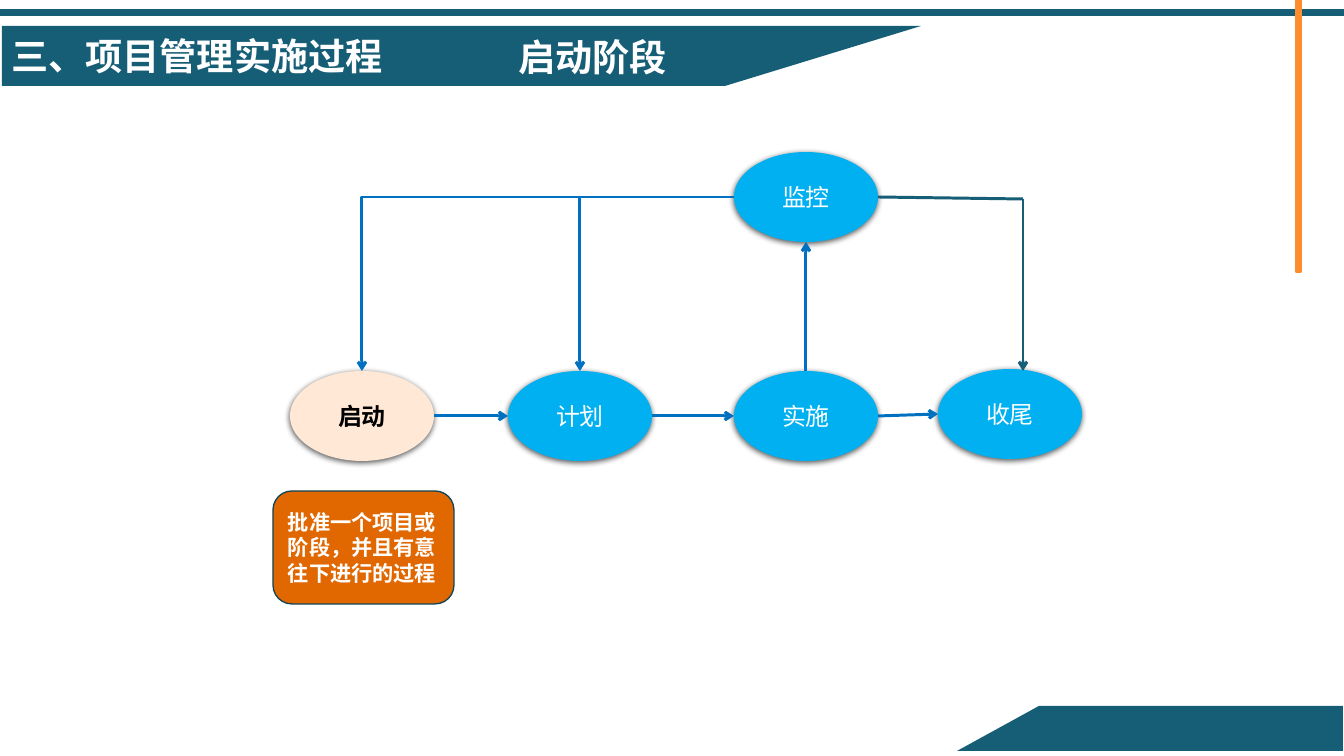
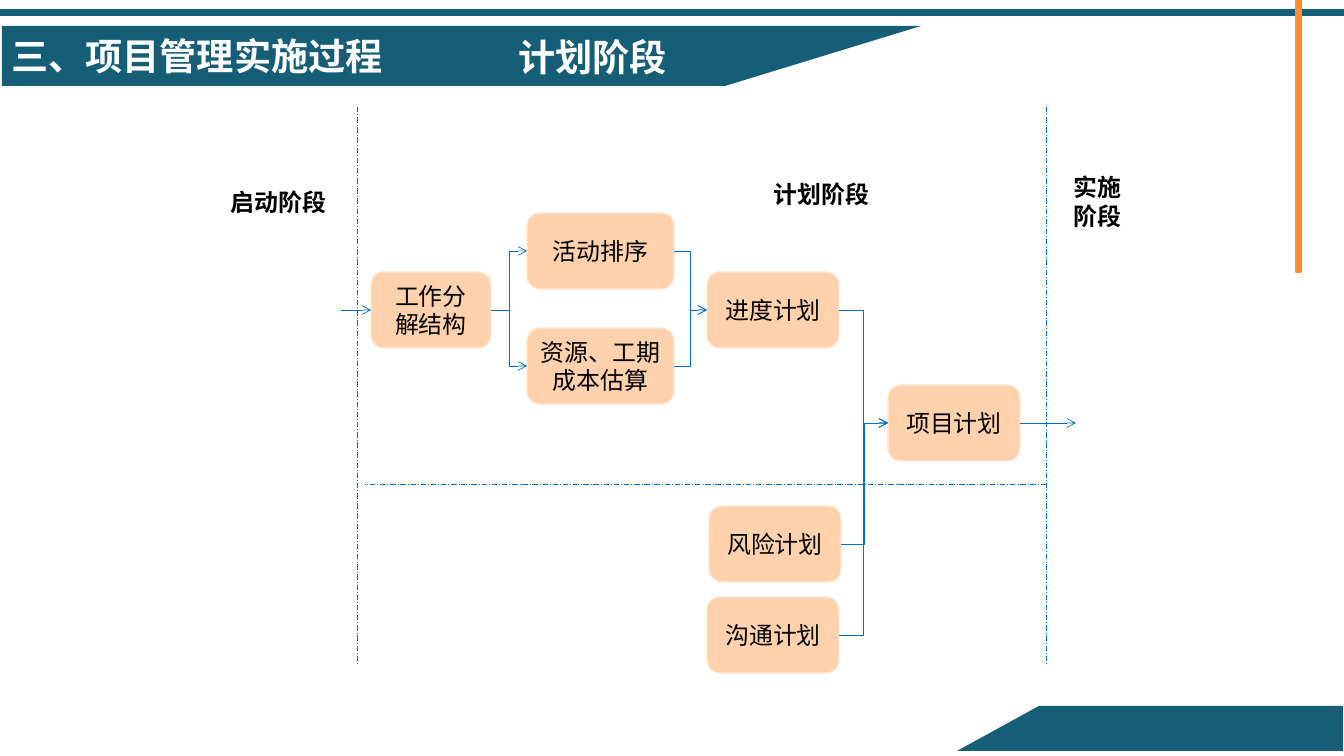
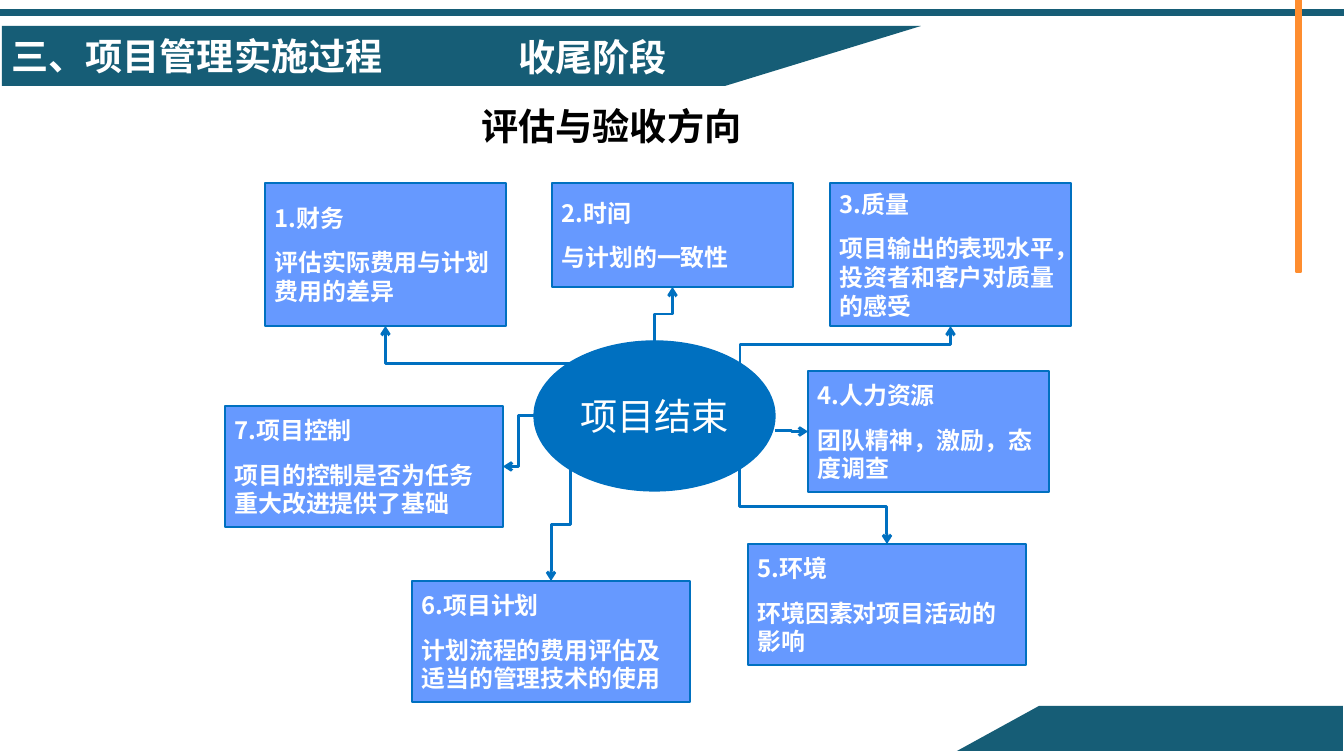
from dataclasses import dataclass

from lxml.etree import SubElement as Sub
from pptx import Presentation
from pptx.dml.color import RGBColor as Rgb
from pptx.enum.dml import MSO_LINE as Dash
from pptx.enum.shapes import MSO_CONNECTOR as Link, MSO_SHAPE as Form
from pptx.enum.text import MSO_ANCHOR as Anchor, PP_ALIGN as Align
from pptx.oxml.ns import qn
from pptx.util import Emu, Pt

SCALE = 9565
SIDES = ((0.5, 0), (0, 0.5), (0.5, 1), (1, 0.5))


@dataclass(frozen=True)
class Theme:
    teal: str = "165D76"
    navy: str = "104557"
    blue: str = "0070C0"
    sky: str = "00B0F0"
    card: str = "6699FF"
    orange: str = "FE8D2F"
    rust: str = "E16701"
    peach: str = "FFD1AC"
    cream: str = "FFE8D5"
    white: str = "FFFFFF"
    black: str = "000000"
    face: str = "Noto Sans CJK SC"
    latin: str = "Calibri"
    head: int = 28
    body: int = 18
    note: int = 16
    thick: float = 2.25
    edge: float = 1
    thin: float = 0.5


T = Theme()


def px(*nums):
    return [Emu(round(n * SCALE)) for n in nums]


def put(item, **form):
    for key, value in form.items():
        setattr(item, key, value)


def tint(fill, color):
    fill.solid()
    fill.fore_color.rgb = Rgb.from_string(color)


class Deck:
    def __init__(self):
        self.show = Presentation()
        wide, high = px(1344, 756)
        put(self.show, slide_width=wide, slide_height=high)

    def page(self, stage):
        self.shapes = self.show.slides.add_slide(self.show.slide_layouts[6]).shapes
        self.outline((2, 26), (921, 26), (725, 86), (2, 86))
        self.outline((1343, 751), (957, 751), (1039, 706), (1343, 706))
        self.shape((0, 10, 1344, 5), T.teal, T.teal)
        self.shape((1296, 0, 5, 272), T.orange, T.orange)
        bold = dict(size=T.head, color=T.white, bold=True)
        self.label((2, 29, 468, 55), "三、项目管理实施过程", **bold)
        self.label((509, 30, 185, 54), stage, face=T.latin, **bold)

    def paint(self, shape, fill, edge=None):
        shape.shadow.inherit = False
        tint(shape.fill, fill)
        if edge:
            tint(shape.line.fill, edge)
            shape.line.width = Pt(T.edge)
        else:
            shape.line.fill.background()

    def outline(self, first, *rest):
        pen = self.shapes.build_freeform(*first, scale=SCALE)
        pen.add_line_segments(rest, close=True)
        self.paint(pen.convert_to_shape(), T.teal)

    def letter(self, shape, text, size=T.body, color=T.black, bold=False,
               face=T.face, **para):
        frame = shape.text_frame
        for i, words in enumerate(text.split("\n")):
            line = frame.add_paragraph() if i else frame.paragraphs[0]
            put(line, **para)
            run = line.add_run()
            run.text = words
            tint(run.font.fill, color)
            put(run.font, size=Pt(size), bold=bold, name=face)
            Sub(run._r.get_or_add_rPr(), qn("a:ea"), typeface=T.face)

    def label(self, box, text, wrap=True, **style):
        shape = self.shapes.add_textbox(*px(*box))
        shape.text_frame.word_wrap = wrap
        self.letter(shape, text, alignment=Align.LEFT, **style)

    def shape(self, box, fill, edge=None, text="", form=Form.RECTANGLE,
              align=Align.CENTER, **style):
        shape = self.shapes.add_shape(form, *px(*box))
        self.paint(shape, fill, edge)
        if text:
            shape.text_frame.vertical_anchor = Anchor.MIDDLE
            self.letter(shape, text, alignment=align, **style)
        return shape

    def node(self, x, y, text, fill=T.sky, **style):
        shape = self.shape((x, y, 144, 90), fill, text=text, form=Form.OVAL, **style)
        glow = Sub(shape._element.spPr.find(qn("a:effectLst")), qn("a:outerShdw"),
                   blurRad="57150", dist="19050", dir="5400000",
                   algn="ctr", rotWithShape="0")
        Sub(Sub(glow, qn("a:srgbClr"), val=T.black), qn("a:alpha"), val="63000")
        return shape

    def step(self, x, y, w, text):
        return self.shape((x, y, w, 76), T.peach, T.cream, text, Form.ROUNDED_RECTANGLE)

    def card(self, box, text):
        return self.shape(box, T.card, T.blue, text, align=Align.LEFT,
                          color=T.white, bold=True, space_before=Pt(12))

    def spot(self, end):
        if isinstance(end[0], int):
            return px(*end)
        shape, side = end
        across, down = SIDES[side]
        return (round(shape.left + shape.width * across),
                round(shape.top + shape.height * down))

    def finish(self, link, color, width, dash=None, arrow=True):
        tint(link.line.fill, color)
        put(link.line, width=Pt(width), dash_style=dash)
        prop = link._element.spPr
        if arrow:
            Sub(prop.find(qn("a:ln")), qn("a:tailEnd"), type="arrow")
        Sub(prop, qn("a:effectLst"))

    def line(self, start, stop, color=T.blue, width=T.thick, **style):
        link = self.shapes.add_connector(Link.STRAIGHT, *self.spot(start), *self.spot(stop))
        for end, join in ((start, link.begin_connect), (stop, link.end_connect)):
            if not isinstance(end[0], int) and end[0].auto_shape_type != Form.OVAL:
                join(*end)
        self.finish(link, color, width, **style)

    def bend(self, start, stop, kind="flat", width=T.thick):
        (x1, y1), (x2, y2) = self.spot(start), self.spot(stop)
        down = y2 > y1
        if kind == "tall":
            mid_x, mid_y = (x1 + x2) // 2, (y1 + y2) // 2
            half_w = abs(y2 - y1) // 2
            half_h = (x1 - x2 if down else x2 - x1) // 2
            x1, x2 = mid_x - half_w, mid_x + half_w
            y1, y2 = mid_y - half_h, mid_y + half_h
        link = self.shapes.add_connector(Link.ELBOW, x1, y1, x2, y2)
        prop = link._element.spPr
        if kind == "tall":
            prop.find(qn("a:xfrm")).set("rot", "5400000" if down else "16200000")
        if kind == "corner":
            prop.find(qn("a:prstGeom")).set("prst", "bentConnector2")
        self.finish(link, T.blue, width)


def launch(deck):
    deck.page("启动阶段")
    watch = deck.node(734, 152, "监控", color=T.white)
    close = deck.node(938, 369, "收尾", color=T.white)
    work = deck.node(734, 371, "实施", color=T.white)
    plan = deck.node(508, 371, "计划", color=T.white)
    start = deck.node(290, 371, "启动", T.cream, bold=True)
    for goal in (start, plan):
        deck.bend((watch, 1), (goal, 0), "corner")
    for left, right in ((start, plan), (plan, work), (work, close)):
        deck.line((left, 3), (right, 1))
    deck.line((work, 0), (watch, 2))
    deck.line((watch, 3), (1023, 199), T.teal, arrow=False)
    deck.line((1023, 199), (1023, 371), T.teal)
    deck.shape((273, 491, 181, 113), T.rust, T.navy,
               "批准一个项目或阶段，并且有意往下进行的过程", Form.ROUNDED_RECTANGLE,
               Align.LEFT, size=T.note, color=T.white, bold=True)


def planning(deck):
    deck.page("计划阶段")
    whole = deck.step(888, 385, 132, "项目计划")
    talk = deck.step(707, 597, 132, "沟通计划")
    risk = deck.step(709, 506, 132, "风险计划")
    time = deck.step(707, 272, 132, "进度计划")
    split = deck.step(371, 272, 120, "工作分解结构")
    cost = deck.step(527, 328, 147, "资源、工期成本估算")
    order = deck.step(527, 213, 147, "活动排序")
    for start, stop in (((357, 107), (357, 665)), ((1046, 107), (1046, 665)),
                        ((1046, 484), (365, 484))):
        deck.line(start, stop, width=T.thin, dash=Dash.LONG_DASH_DOT, arrow=False)
    deck.line((341, 310), (split, 1), width=T.thin)
    for left, right in ((split, order), (split, cost), (order, time), (cost, time),
                        (time, whole), (risk, whole), (talk, whole)):
        deck.bend((left, 3), (right, 1), width=T.thin)
    deck.line((whole, 3), (1076, 423), width=T.thin)
    for box, text in (((221, 183, 116, 38), "启动阶段"), ((764, 175, 116, 38), "计划阶段"),
                      ((1064, 168, 68, 68), "实施\n阶段")):
        deck.label(box, text, wrap=False, bold=True)


def closing(deck):
    deck.page("收尾阶段")
    hub = deck.shape((534, 341, 241, 150), T.blue, T.blue, "项目结束", Form.OVAL,
                     size=T.head, color=T.white)
    links = (
        ((265, 183, 241, 143), "1.财务\n评估实际费用与计划费用的差异", (570, 364), 2, "corner"),
        ((552, 183, 241, 104), "2.时间\n与计划的一致性", (hub, 0), 2, "tall"),
        ((830, 183, 241, 143), "3.质量\n项目输出的表现水平，投资者和客户对质量的感受",
         (740, 363), 2, "tall"),
        ((808, 371, 241, 121), "4.人力资源\n团队精神，激励，态度调查", (775, 431), 1, "flat"),
        ((748, 544, 278, 121), "5.环境\n环境因素对项目活动的影响", (740, 469), 0, "tall"),
        ((412, 581, 278, 121), "6.项目计划\n计划流程的费用评估及适当的管理技术的使用",
         (570, 469), 0, "tall"),
        ((225, 406, 278, 121), "7.项目控制\n项目的控制是否为任务重大改进提供了基础",
         (hub, 1), 3, "flat"),
    )
    for box, text, start, side, kind in links:
        deck.bend(start, (deck.card(box, text), side), kind)
    deck.label((472, 104, 303, 60), "评估与验收方向", size=T.head, bold=True,
               face=T.latin, line_spacing=0.9)


def main():
    deck = Deck()
    for build in (launch, planning, closing):
        build(deck)
    deck.show.save("out.pptx")


if __name__ == "__main__":
    main()
